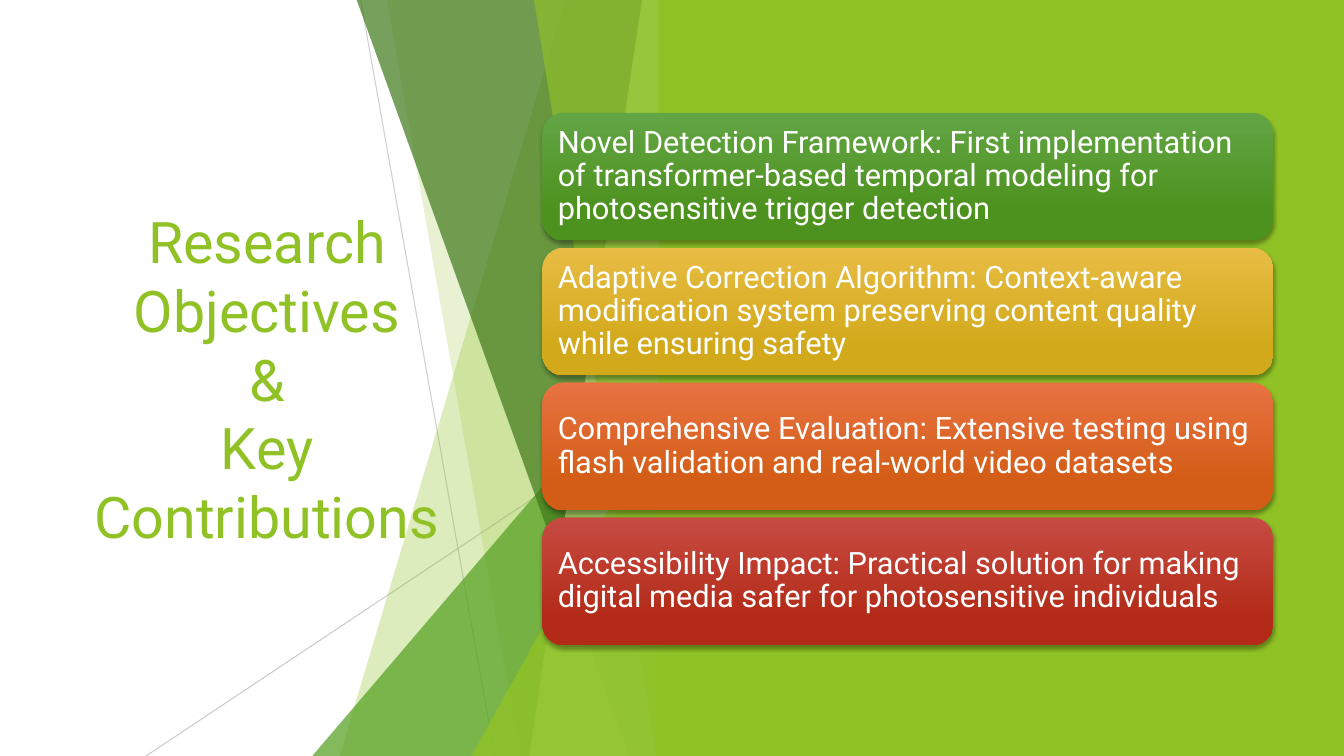
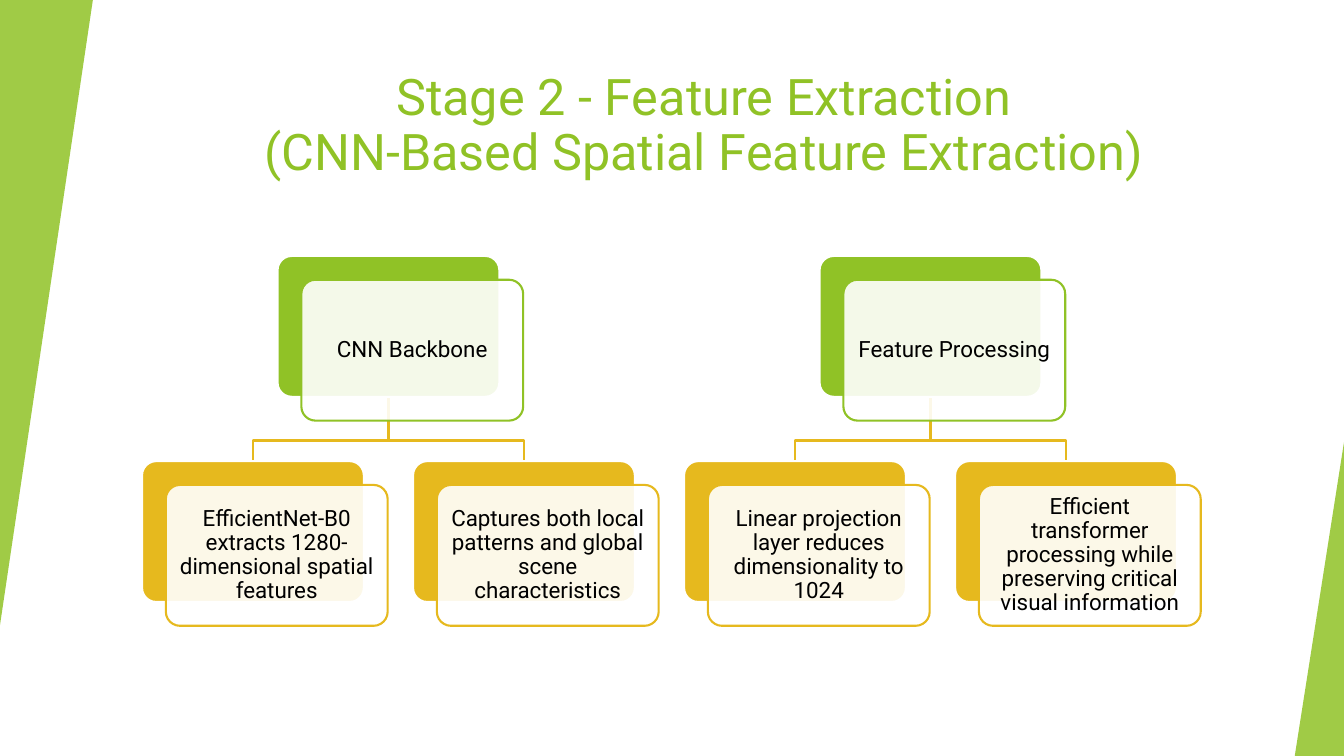
"""Build two slides: research objectives, and the feature extraction stage."""
from lxml.etree import SubElement
from pptx import Presentation
from pptx.dml.color import RGBColor
from pptx.enum.shapes import MSO_CONNECTOR, MSO_SHAPE
from pptx.enum.text import MSO_ANCHOR, PP_ALIGN
from pptx.oxml.ns import qn
from pptx.util import Cm, Pt

COLORS = {
    "white": "FFFFFF",
    "black": "000000",
    "grey": "BFBFBF",
    "lime": "90C226",
    "green": "54A021",
    "forest": "3F7819",
    "pale": "C0E474",
    "gold": "E6B91E",
}
FONT = "Roboto"
WIDTH, HEIGHT = 33.87, 19.05
FACET_RIGHT = 16.92

CARDS = [
    ("Novel Detection Framework: First implementation of transformer-based "
     "temporal modeling for photosensitive trigger detection", "63A545", "4D921E"),
    ("Adaptive Correction Algorithm: Context-aware modification system "
     "preserving content quality while ensuring safety", "E7BC43", "D2A91B"),
    ("Comprehensive Evaluation: Extensive testing using flash validation "
     "and real-world video datasets", "E87242", "D35D16"),
    ("Accessibility Impact: Practical solution for making digital media "
     "safer for photosensitive individuals", "C74B42", "B32B18"),
]
BRANCHES = [
    ("CNN Backbone",
     ["EfficientNet-B0 extracts 1280-dimensional spatial features",
      "Captures both local patterns and global scene characteristics"]),
    ("Feature Processing",
     ["Linear projection layer reduces dimensionality to 1024",
      "Efficient transformer processing while preserving critical visual information"]),
]
NODE_W, NODE_H, NODE_SHIFT = 5.59, 3.55, 0.6
NODE_LEFT, NODE_PITCH = 3.58, 6.83
PARENT_TOP, FORK_Y, CHILD_TOP = 6.45, 11.1, 11.62


def rgb(name):
    return RGBColor.from_string(COLORS.get(name, name))


def set_alpha(solid_fill, percent):
    SubElement(solid_fill[0], qn("a:alpha")).set("val", str(percent * 1000))


def paint(sp, fill=None, alpha=100, line=None):
    sp.shadow.inherit = False
    if fill:
        sp.fill.solid()
        sp.fill.fore_color.rgb = rgb(fill)
        if alpha < 100:
            set_alpha(sp._element.spPr.find(qn("a:solidFill")), alpha)
    else:
        sp.fill.background()
    if line:
        sp.line.color.rgb = rgb(line)
        sp.line.width = Pt(1.5)
    else:
        sp.line.fill.background()


def add_preset(s, kind, x, y, w, h, adj=None, **style):
    sp = s.shapes.add_shape(kind, Cm(x), Cm(y), Cm(w), Cm(h))
    if adj is not None:
        sp.adjustments[0] = adj
    paint(sp, **style)
    return sp


def add_triangle(s, x, y, w, h, fill, alpha):
    return add_preset(s, MSO_SHAPE.ISOSCELES_TRIANGLE, x, y, w, h,
                      adj=1, fill=fill, alpha=alpha)


def add_outline(s, points, close, **style):
    points = [(Cm(x), Cm(y)) for x, y in points]
    builder = s.shapes.build_freeform(*points[0], scale=1.0)
    builder.add_line_segments(points[1:], close=close)
    paint(builder.convert_to_shape(), **style)


def add_facet(s, top_x, bottom_x, fill, alpha):
    points = [(top_x, 0), (FACET_RIGHT, 0), (FACET_RIGHT, HEIGHT), (bottom_x, HEIGHT)]
    add_outline(s, points, True, fill=fill, alpha=alpha)


def add_thin_line(s, x1, y1, x2, y2, alpha):
    line = s.shapes.add_connector(MSO_CONNECTOR.STRAIGHT, Cm(x1), Cm(y1), Cm(x2), Cm(y2))
    line.line.color.rgb = rgb("grey")
    line.line.width = Pt(0.75)
    spPr = line._element.spPr
    set_alpha(spPr.find(qn("a:ln")).find(qn("a:solidFill")), alpha)
    SubElement(spPr, qn("a:effectLst"))


def write(sp, text, size, color, align, anchor=MSO_ANCHOR.MIDDLE, spacing=0.9, inset=None):
    tf = sp.text_frame
    tf.word_wrap = True
    tf.vertical_anchor = anchor
    if inset is not None:
        tf.margin_left = tf.margin_right = tf.margin_top = tf.margin_bottom = Cm(inset)
    p = tf.paragraphs[0]
    p.text = text
    p.alignment = align
    p.line_spacing = spacing
    for r in p.runs:
        r.font.name = FONT
        r.font.size = Pt(size)
        r.font.color.rgb = rgb(color)


def add_title(s, text, x, y, w, h, size, anchor, spacing):
    sp = s.shapes.add_textbox(Cm(x), Cm(y), Cm(w), Cm(h))
    write(sp, text, size, "lime", PP_ALIGN.CENTER, anchor, spacing)


def add_soft_shadow(sp):
    effects = sp._element.spPr.find(qn("a:effectLst"))
    shadow = SubElement(effects, qn("a:outerShdw"), blurRad=str(Pt(3)),
                        dist=str(Pt(2)), dir="5400000", rotWithShape="0")
    color = SubElement(shadow, qn("a:srgbClr"), val=COLORS["black"])
    SubElement(color, qn("a:alpha"), val="35000")


def add_card(s, y, text, top_color, bottom_color):
    sp = add_preset(s, MSO_SHAPE.ROUNDED_RECTANGLE, 13.67, y, 18.42, 3.22)
    sp.fill.gradient()
    sp.fill.gradient_angle = 270
    for stop, color, position in zip(sp.fill.gradient_stops,
                                     (top_color, bottom_color), (0, 0.78)):
        stop.color.rgb = rgb(color)
        stop.position = position
    add_soft_shadow(sp)
    write(sp, text, 22, "white", PP_ALIGN.LEFT, inset=0.23)


def add_node(s, x, y, text, color):
    box = MSO_SHAPE.ROUNDED_RECTANGLE
    add_preset(s, box, x, y, NODE_W, NODE_H, 0.1, fill=color, line="white")
    sp = add_preset(s, box, x + NODE_SHIFT, y + NODE_SHIFT, NODE_W, NODE_H, 0.1,
                    fill="white", alpha=90, line=color)
    write(sp, text, 16, "black", PP_ALIGN.CENTER, inset=0.18)


def add_branch(s, first_column, parent, children):
    lefts = [NODE_LEFT + NODE_PITCH * (first_column + i) for i in range(len(children))]
    parent_left = sum(lefts) / len(lefts)
    stem = parent_left + NODE_W / 2
    for left in lefts:
        end = left + NODE_W / 2
        add_outline(s, [(stem, PARENT_TOP + NODE_H), (stem, FORK_Y),
                        (end, FORK_Y), (end, CHILD_TOP)], False, line="gold")
    add_node(s, parent_left, PARENT_TOP, parent, "lime")
    for left, child in zip(lefts, children):
        add_node(s, left, CHILD_TOP, child, "gold")


def add_facets(s):
    add_thin_line(s, 9.09, 0, 12.47, HEIGHT, 75)
    add_thin_line(s, FACET_RIGHT, 10.24, 3.68, HEIGHT, 80)
    add_facet(s, 14.25, 8.56, "lime", 30)
    add_facet(s, 9.75, 13.11, "lime", 20)
    add_triangle(s, 7.87, 8.46, 9.05, 10.59, "green", 72)
    add_facet(s, 8.99, 15.85, "forest", 70)
    add_facet(s, 16.18, 13.34, "pale", 70)
    add_facet(s, 13.46, 16.54, "lime", 65)
    add_triangle(s, 11.88, 9.98, 5.04, 9.07, "lime", 80)
    add_preset(s, MSO_SHAPE.RECTANGLE, 16.6, 0, WIDTH - 16.6, HEIGHT, fill="lime")


def build_objectives(s):
    add_title(s, "Research Objectives\n&\nKey Contributions",
              1.8, 3.84, 9.86, 11.38, 41, MSO_ANCHOR.MIDDLE, 1.0)
    add_facets(s)
    for i, card in enumerate(CARDS):
        add_card(s, 2.84 + 3.4 * i, *card)


def build_extraction(s):
    add_title(s, "Stage 2 - Feature Extraction\n(CNN-Based Spatial Feature Extraction)",
              3.58, 1.7, 28.32, 3.05, 36, MSO_ANCHOR.TOP, 0.9)
    add_triangle(s, 0, 0, 2.34, 15.75, "lime", 85).rotation = 180
    add_triangle(s, WIDTH - 1.24, 11.15, 1.24, 7.9, "lime", 85)
    for i, (parent, children) in enumerate(BRANCHES):
        add_branch(s, 2 * i, parent, children)


def main():
    prs = Presentation()
    prs.slide_width, prs.slide_height = Cm(WIDTH), Cm(HEIGHT)
    for build in (build_objectives, build_extraction):
        build(prs.slides.add_slide(prs.slide_layouts[6]))
    prs.save("out.pptx")


if __name__ == "__main__":
    main()
